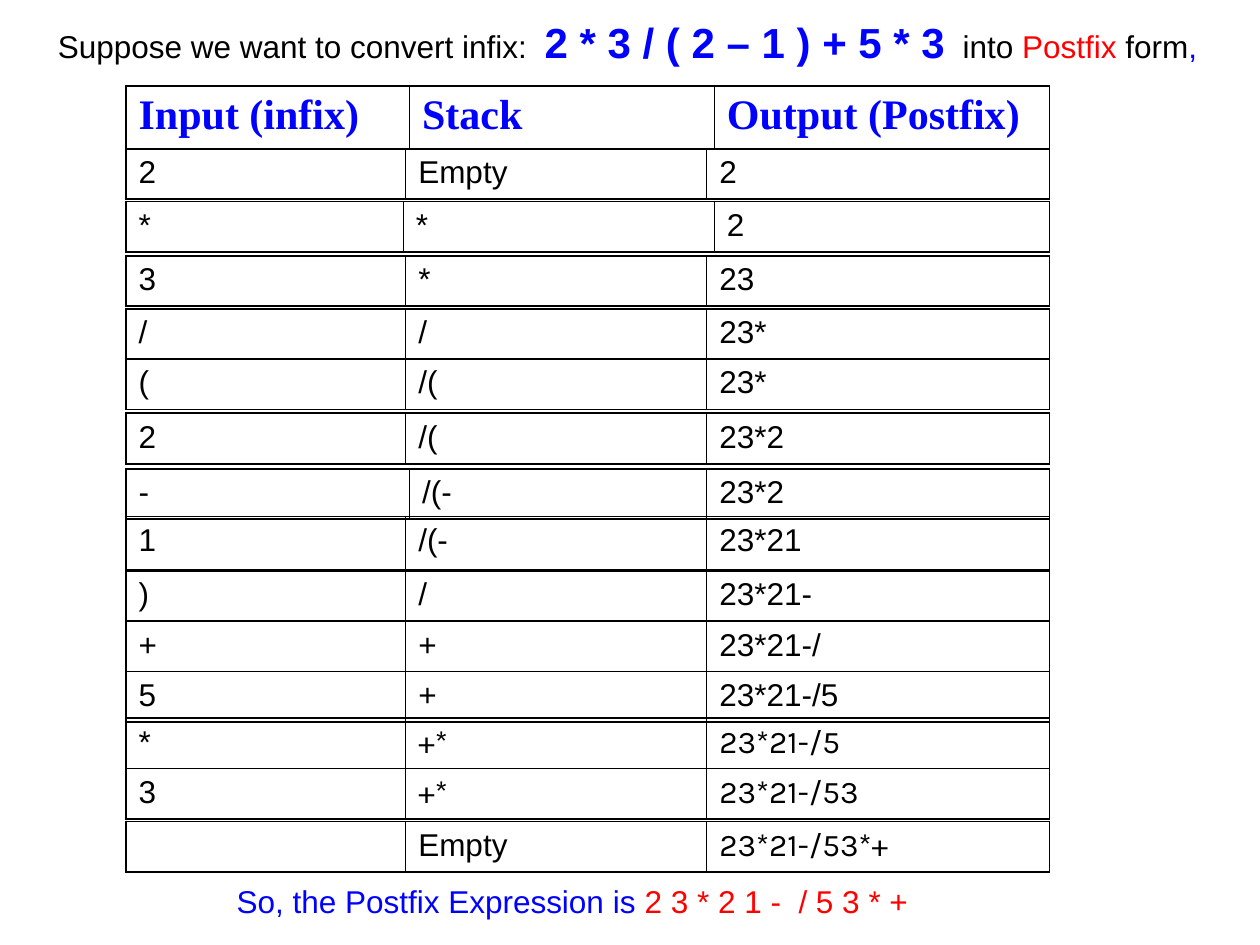
from dataclasses import dataclass

from lxml import etree
from pptx import Presentation
from pptx.dml.color import RGBColor
from pptx.enum.text import MSO_ANCHOR, MSO_AUTO_SIZE, PP_ALIGN
from pptx.oxml.ns import qn
from pptx.util import Inches, Pt

LEFT = PP_ALIGN.LEFT
MIDDLE, BOTTOM = MSO_ANCHOR.MIDDLE, MSO_ANCHOR.BOTTOM
NO_FIT = MSO_AUTO_SIZE.NONE
TITLE_ONLY = 5

BLACK, BLUE, RED = "000000", "0000FF", "FF0000"
SANS, SERIF, KARLA = "Arial", "Times New Roman", "Karla"
THICK, THIN = 1.08, 0.45
TABLE_LEFT, TABLE_WIDTH = 1, 7.33


@dataclass
class Span:
    text: str
    color: str
    size: float = 18
    bold: bool = False


@dataclass
class Step:
    top: float
    texts: tuple[str, str, str]
    height: float = 0.4
    splits: tuple[float, float] = (2.22, 4.61)
    fonts: tuple[str, str, str] = (SANS, SANS, SANS)
    size: float = 18
    color: str = BLACK
    bold: bool = False


STEPS = [
    Step(0.68, ("Input (infix)", "Stack", "Output (Postfix)"), 0.5, (2.25, 4.67),
         (SERIF, SERIF, SERIF), 24, BLUE, True),
    Step(1.18, ("2", "Empty", "2")),
    Step(1.6, ("*", "*", "2"), splits=(2.2, 4.67)),
    Step(2.03, ("3", "*", "23")),
    Step(2.45, ("/", "/", "23*")),
    Step(2.85, ("(", "/(", "23*")),
    Step(3.28, ("2", "/(", "23*2")),
    Step(3.72, ("-", "/(-", "23*2"), splits=(2.25, 4.61)),
    Step(4.1, ("1", "/(-", "23*21"), 0.42),
    Step(4.53, (")", "/", "23*21-")),
    Step(4.93, ("+", "+", "23*21-/")),
    Step(5.33, ("5", "+", "23*21-/5")),
    Step(5.7, ("*", "+*", "23*21-/5"), fonts=(SANS, KARLA, KARLA)),
    Step(6.1, ("3", "+*", "23*21-/53"), fonts=(SANS, KARLA, KARLA)),
    Step(6.52, ("", "Empty", "23*21-/53*+"), fonts=(SANS, SANS, KARLA)),
]

HEADING = [
    Span("Suppose we want to convert infix:  ", BLACK),
    Span("2 * 3 / ( 2 – 1 ) + 5 * 3", BLUE, 24, True),
    Span("  ", BLUE),
    Span("into ", BLACK),
    Span("Postfix ", RED),
    Span("form", BLACK),
    Span(",", BLUE),
]

RESULT = [
    Span("So, the Postfix Expression is ", BLUE),
    Span("2 3 * 2 1 -  / 5 3 * +", RED),
]


def rgb(color: str) -> RGBColor:
    return RGBColor.from_string(color)


def write_line(sp, spans: list[Span], anchor: MSO_ANCHOR) -> None:
    tf = sp.text_frame
    tf.word_wrap = False
    tf.auto_size = NO_FIT
    tf.vertical_anchor = anchor
    p = tf.paragraphs[0]
    p.alignment = LEFT
    p.font.name = SANS
    for span in spans:
        r = p.add_run()
        r.text = span.text
        r.font.name = SANS
        r.font.size = Pt(span.size)
        r.font.bold = span.bold
        r.font.color.rgb = rgb(span.color)


def set_borders(cell, col: int) -> None:
    widths = {
        "a:lnL": THICK if col == 0 else THIN,
        "a:lnR": THICK if col == 2 else THIN,
        "a:lnT": THICK,
        "a:lnB": THICK,
    }
    tc_pr = cell._tc.get_or_add_tcPr()
    for i, (tag, width) in enumerate(widths.items()):
        ln = etree.Element(qn(tag), w=str(int(Pt(width))))
        fill = etree.SubElement(ln, qn("a:solidFill"))
        etree.SubElement(fill, qn("a:srgbClr"), val=BLACK)
        tc_pr.insert(i, ln)


def add_step(s, step: Step) -> None:
    table = s.shapes.add_table(1, 3, Inches(TABLE_LEFT), Inches(step.top),
                               Inches(TABLE_WIDTH), Inches(step.height)).table
    table.first_row = False
    table.horz_banding = False
    edges = (0, *step.splits, TABLE_WIDTH)
    for col, (text, font) in enumerate(zip(step.texts, step.fonts)):
        table.columns[col].width = Inches(edges[col + 1] - edges[col])
        cell = table.cell(0, col)
        cell.fill.background()
        set_borders(cell, col)
        cell.text = text
        p = cell.text_frame.paragraphs[0]
        p.font.name = font
        p.font.size = Pt(step.size)
        p.font.bold = step.bold
        p.font.color.rgb = rgb(step.color)


def main() -> None:
    prs = Presentation()
    prs.slide_width, prs.slide_height = Inches(10), Inches(7.5)
    s = prs.slides.add_slide(prs.slide_layouts[TITLE_ONLY])

    title = s.shapes.title
    title.left, title.top = Inches(0.36), Inches(0.08)
    title.width, title.height = Inches(9.31), Inches(0.5)
    write_line(title, HEADING, MIDDLE)

    result = s.shapes.add_textbox(Inches(1.78), Inches(6.75), Inches(5.6), Inches(0.6))
    write_line(result, RESULT, BOTTOM)

    for step in STEPS:
        add_step(s, step)

    prs.save("out.pptx")


if __name__ == "__main__":
    main()
